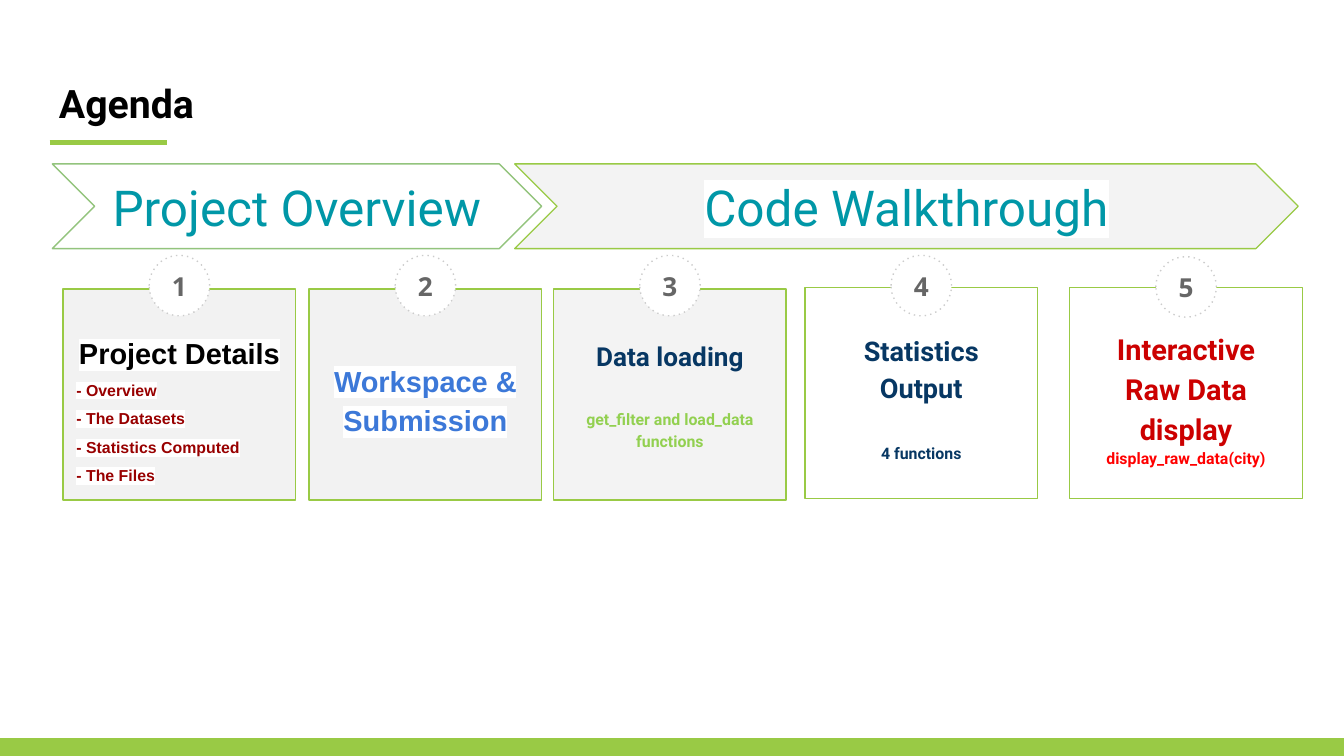
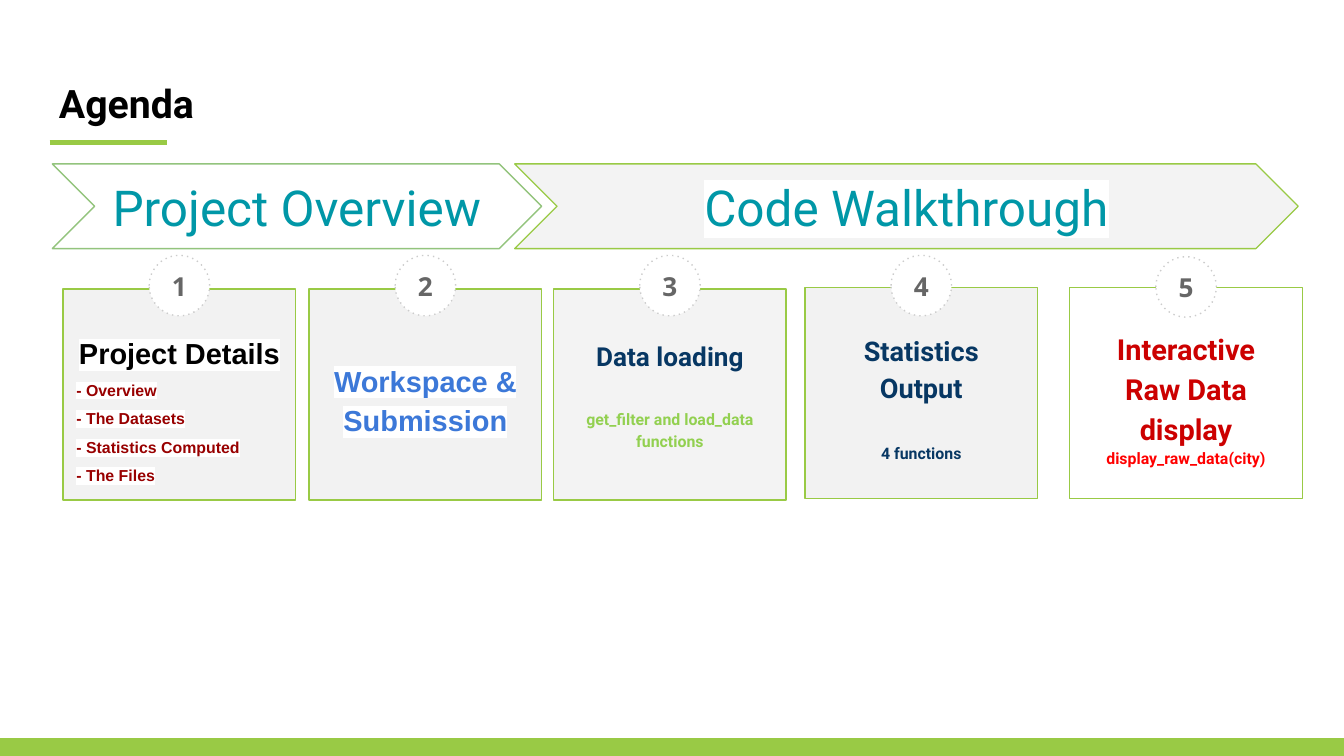
from dataclasses import dataclass

from lxml import etree
from pptx import Presentation
from pptx.dml.color import RGBColor
from pptx.enum import dml, shapes, text
from pptx.oxml import ns
from pptx.shapes.autoshape import Shape
from pptx.slide import Slide
from pptx.util import Inches, Pt

COLORS = {
    "white": "FFFFFF",
    "black": "000000",
    "green": "99CA45",
    "sage": "93C47D",
    "lime": "92D050",
    "mist": "F2F2F2",
    "fog": "F3F3F3",
    "silver": "CCCCCC",
    "gray": "666666",
    "teal": "0097A7",
    "navy": "073763",
    "blue": "3C78D8",
    "maroon": "980000",
    "crimson": "CC0000",
    "red": "FF0000",
}
PAGE_WIDTH = 10
PAGE_HEIGHT = PAGE_WIDTH * 9 / 16
CARD_WIDTH, CARD_HEIGHT = 1.73, 1.57
BADGE_SIZE, BADGE_TOP = 0.45, 1.9
BAND_TOP, BAND_HEIGHT = 1.22, 0.63
FOOTER_TOP = 5.5
SHADED_CARDS = (3, 4)

CENTER = text.PP_ALIGN.CENTER
LEFT = text.PP_ALIGN.LEFT
KINDS = shapes.MSO_SHAPE


@dataclass(frozen=True)
class Frame:
    left: float
    top: float
    width: float
    height: float

    def lengths(self) -> tuple[Inches, Inches, Inches, Inches]:
        return Inches(self.left), Inches(self.top), Inches(self.width), Inches(self.height)


@dataclass(frozen=True)
class Line:
    words: str
    size: float
    color: str
    font: str = "Roboto"
    bold: bool = True
    highlight: bool = False
    align: text.PP_ALIGN = CENTER
    spacing: float = 1.15
    before: float = 0


@dataclass(frozen=True)
class Card:
    left: float
    top: float
    shade: str
    text_inset: float
    text_top: float
    text_height: float
    lines: tuple[Line, ...]
    badge_top: float = BADGE_TOP


@dataclass(frozen=True)
class Band:
    title: str
    left: float
    width: float
    fill: str
    outline: str


def detail(words: str) -> Line:
    return Line(words, 8.5, "maroon", "Arial", highlight=True, align=LEFT, spacing=1.5)


BANDS = (
    Band("Project Overview", 0.39, 3.64, "white", "sage"),
    Band("Code Walkthrough", 3.83, 5.83, "fog", "green"),
)

CARDS = (
    Card(0.47, 2.15, "mist", 0, 2.26, 1.46, (
        Line("Project Details", 15.5, "black", "Arial", highlight=True, spacing=1.5),
        detail("- Overview"),
        detail("- The Datasets"),
        detail("- Statistics Computed"),
        detail("- The Files"),
    )),
    Card(2.3, 2.15, "mist", 0, 2.35, 1.22, (
        Line("Workspace & Submission", 15.5, "blue", "Arial", highlight=True),
    )),
    Card(4.12, 2.15, "fog", 0.1, 2.47, 0.91, (
        Line("Data loading", 14, "navy"),
        Line("get_filter and load_data functions", 8.5, "lime", before=19),
    )),
    Card(5.99, 2.14, "mist", 0.1, 2.49, 0.91, (
        Line("Statistics Output", 14.5, "navy"),
        Line("4 functions", 8.5, "navy", before=19.5),
    )),
    Card(7.96, 2.14, "mist", 0.1, 2.5, 0.91, (
        Line("Interactive Raw Data display", 15.5, "crimson"),
        Line("display_raw_data(city)", 8.5, "red"),
    ), badge_top=1.91),
)


def rgb(name: str) -> RGBColor:
    return RGBColor.from_string(COLORS[name])


def add_highlight(span) -> None:
    fill = span.font._element.find(ns.qn("a:solidFill"))
    mark = etree.Element(ns.qn("a:highlight"))
    etree.SubElement(mark, ns.qn("a:srgbClr"), val=COLORS["white"])
    fill.addnext(mark)


def write(box: Shape, lines: tuple[Line, ...], anchor=text.MSO_ANCHOR.MIDDLE) -> None:
    frame = box.text_frame
    frame.word_wrap = True
    frame.vertical_anchor = anchor
    frame.margin_left = frame.margin_right = Inches(0.1)
    frame.margin_top = frame.margin_bottom = Inches(0.1)
    for index, line in enumerate(lines):
        para = frame.add_paragraph() if index else frame.paragraphs[0]
        para.alignment = line.align
        para.line_spacing = line.spacing
        para.space_before = Pt(line.before)
        span = para.add_run()
        span.text = line.words
        span.font.name = line.font
        span.font.size = Pt(line.size)
        span.font.bold = line.bold
        span.font.color.rgb = rgb(line.color)
        if line.highlight:
            add_highlight(span)


def add_block(page: Slide, kind: shapes.MSO_SHAPE, frame: Frame, fill: str,
              outline: str = "green") -> Shape:
    block = page.shapes.add_shape(kind, *frame.lengths())
    block.shadow.inherit = False
    block.fill.solid()
    block.fill.fore_color.rgb = rgb(fill)
    block.line.color.rgb = rgb(outline)
    block.line.width = Pt(0.75)
    return block


def add_title(page: Slide, words: str) -> None:
    box = page.shapes.add_textbox(*Frame(0.34, 0.49, 9.32, 0.63).lengths())
    write(box, (Line(words, 21, "black", align=LEFT, spacing=1.0),), text.MSO_ANCHOR.TOP)
    rule = page.shapes.add_connector(shapes.MSO_CONNECTOR.STRAIGHT, Inches(0.37),
                                     Inches(1.06), Inches(1.24), Inches(1.06))
    rule.line.color.rgb = rgb("green")
    rule.line.width = Pt(3)
    etree.SubElement(rule._element.spPr, ns.qn("a:effectLst"))


def add_footer(page: Slide) -> None:
    frame = Frame(0, FOOTER_TOP, PAGE_WIDTH, PAGE_HEIGHT - FOOTER_TOP)
    add_block(page, KINDS.RECTANGLE, frame, "green")


def add_band(page: Slide, band: Band) -> None:
    frame = Frame(band.left, BAND_TOP, band.width, BAND_HEIGHT)
    chevron = add_block(page, KINDS.CHEVRON, frame, band.fill, band.outline)
    write(chevron, (Line(band.title, 26.5, "teal", bold=False, highlight=True, spacing=1.0),))


def add_badge(page: Slide, number: int, card: Card) -> None:
    left = card.left + (CARD_WIDTH - BADGE_SIZE) / 2
    frame = Frame(left, card.badge_top, BADGE_SIZE, BADGE_SIZE)
    badge = add_block(page, KINDS.OVAL, frame, "white", "silver")
    badge.line.dash_style = dml.MSO_LINE.ROUND_DOT
    badge._element.spPr.find(".//" + ns.qn("a:prstDash")).set("val", "dot")
    write(badge, (Line(str(number), 14, "gray", "Open Sans", spacing=1.0),))


def add_card(page: Slide, number: int, card: Card, shaded: bool) -> None:
    frame = Frame(card.left, card.top, CARD_WIDTH, CARD_HEIGHT)
    add_block(page, KINDS.RECTANGLE, frame, card.shade if shaded else "white")
    add_badge(page, number, card)
    words = Frame(card.left + card.text_inset, card.text_top,
                  CARD_WIDTH - 2 * card.text_inset, card.text_height)
    write(page.shapes.add_textbox(*words.lengths()), card.lines)


def add_agenda(deck, shaded_cards: int) -> None:
    page = deck.slides.add_slide(deck.slide_layouts[6])
    page.background.fill.solid()
    page.background.fill.fore_color.rgb = rgb("white")
    add_title(page, "Agenda")
    add_footer(page)
    for band in BANDS:
        add_band(page, band)
    for number, card in enumerate(CARDS, start=1):
        add_card(page, number, card, number <= shaded_cards)


def main() -> None:
    deck = Presentation()
    deck.slide_width = Inches(PAGE_WIDTH)
    deck.slide_height = Inches(PAGE_HEIGHT)
    for shaded_cards in SHADED_CARDS:
        add_agenda(deck, shaded_cards)
    deck.save("out.pptx")


if __name__ == "__main__":
    main()
